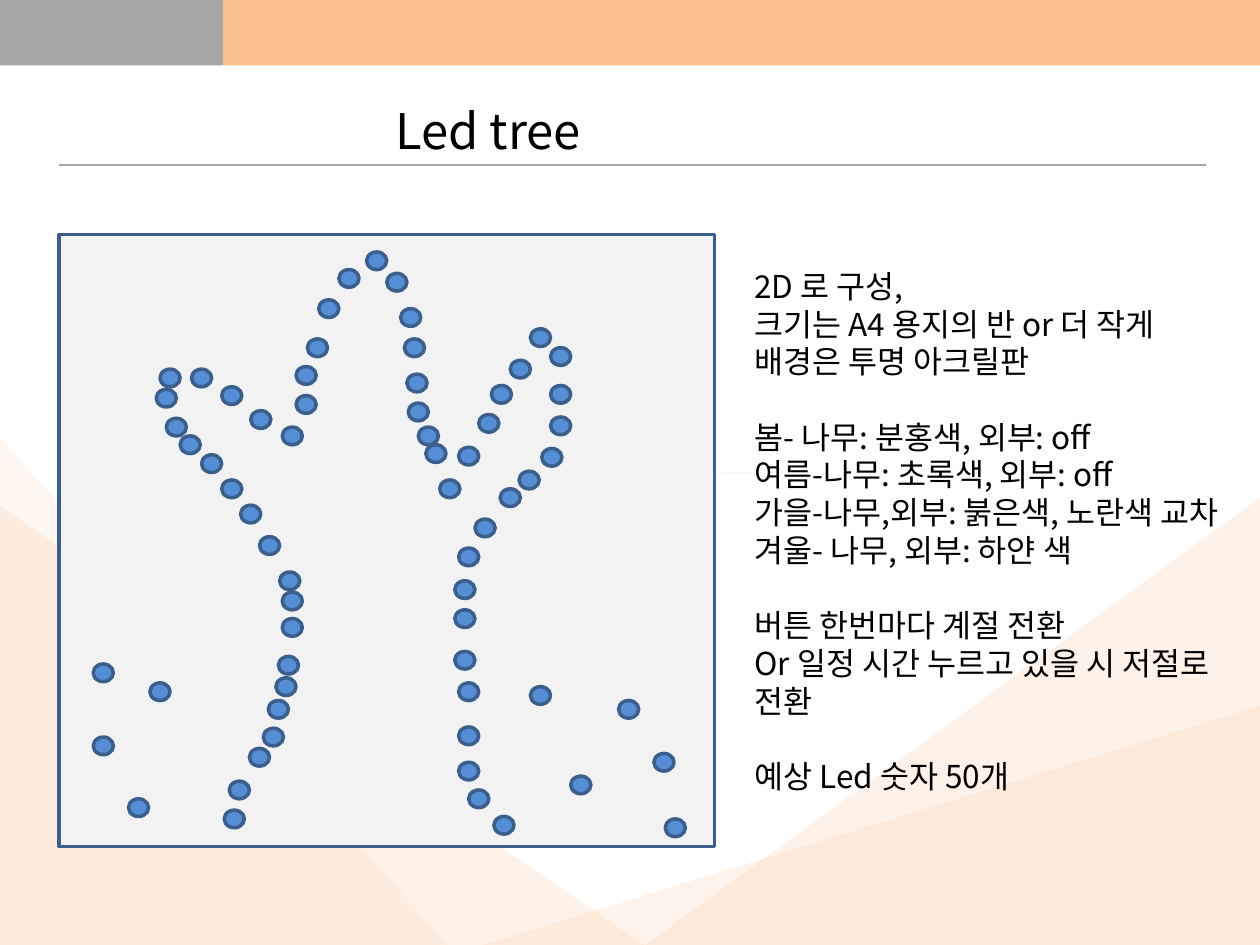
from lxml import etree
from pptx import Presentation
from pptx.dml.color import RGBColor
from pptx.enum.shapes import MSO_CONNECTOR, MSO_SHAPE
from pptx.enum.text import MSO_ANCHOR, PP_ALIGN
from pptx.oxml.ns import qn
from pptx.util import Inches, Pt

RECT, OVAL, TRIANGLE = MSO_SHAPE.RECTANGLE, MSO_SHAPE.OVAL, MSO_SHAPE.RIGHT_TRIANGLE
STRAIGHT = MSO_CONNECTOR.STRAIGHT
MIDDLE, TOP = MSO_ANCHOR.MIDDLE, MSO_ANCHOR.TOP
LEFT, CENTER = PP_ALIGN.LEFT, PP_ALIGN.CENTER

FONT = "Noto Sans CJK KR"
COLORS = {"gray": "A6A6A6", "orange": "FAC090", "peach": "FCD5B5", "ice": "EBF4F9",
          "panel": "F2F2F2", "led": "558ED5", "edge": "3A5F8C", "text": "000000"}
LED_SIZE = (0.16, 0.14)
PITCH = 21.55

# LED positions, measured from the top left of the panel
LEDS = {
    "left trunk": [
        (1.31, 4.57), (1.35, 4.34), (1.51, 4.08), (1.62, 3.92), (1.66, 3.7), (1.72, 3.52),
        (1.74, 3.35), (1.77, 3.05), (1.77, 2.84), (1.75, 2.68), (1.59, 2.4), (1.44, 2.15),
        (1.29, 1.95), (1.13, 1.75), (0.96, 1.6), (0.85, 1.46)],
    "left branch": [
        (0.77, 1.23), (0.8, 1.07), (1.05, 1.07), (1.29, 1.21), (1.52, 1.4), (1.77, 1.53)],
    "crown": [
        (1.88, 1.28), (1.88, 1.05), (1.97, 0.83), (2.06, 0.52), (2.22, 0.28), (2.44, 0.14),
        (2.6, 0.31), (2.71, 0.59), (2.74, 0.83), (2.76, 1.11), (2.77, 1.34), (2.85, 1.53),
        (2.91, 1.67), (3.02, 1.95)],
    "right branch": [
        (3.17, 1.69), (3.33, 1.43), (3.43, 1.2), (3.58, 1), (3.74, 0.75), (3.9, 0.9),
        (3.9, 1.2), (3.9, 1.45), (3.83, 1.7), (3.65, 1.88), (3.5, 2.02)],
    "right trunk": [
        (3.3, 2.26), (3.17, 2.49), (3.14, 2.75), (3.14, 2.98), (3.14, 3.31), (3.17, 3.56),
        (3.17, 3.91), (3.17, 4.19), (3.25, 4.41), (3.45, 4.62)],
    "outside": [
        (0.27, 3.41), (0.72, 3.56), (0.27, 3.99), (0.55, 4.48), (3.74, 3.59),
        (4.44, 3.7), (4.72, 4.12), (4.06, 4.3), (4.81, 4.64)],
}

NOTES = [
    ["2D 로 구성, ", "크기는 A4 용지의 반 or 더 작게", "배경은 투명 아크릴판"],
    ["봄- 나무: 분홍색, 외부: off", "여름-나무: 초록색, 외부: off",
     "가을-나무,외부: 붉은색, 노란색 교차", "겨울- 나무, 외부: 하얀 색"],
    ["버튼 한번마다 계절 전환", "Or 일정 시간 누르고 있을 시 저절로 전환"],
    ["예상 Led 숫자 50개"],
]


def rgb(name):
    """Return the named colour."""
    return RGBColor.from_string(COLORS[name])


def set_alpha(fill, percent):
    """Make a solid fill or line fill partly transparent."""
    color = fill._xPr.find(qn("a:solidFill"))[0]
    etree.SubElement(color, qn("a:alpha")).set("val", str(percent * 1000))


def add_block(s, kind, box, fill, edge=None, alpha=None, flip=False):
    """Add a flat preset shape in the box (left, top, width, height)."""
    sp = s.shapes.add_shape(kind, *map(Inches, box))
    sp.shadow.inherit = False
    sp.fill.solid()
    sp.fill.fore_color.rgb = rgb(fill)
    if alpha:
        set_alpha(sp.fill, alpha)
    if edge:
        sp.line.color.rgb = rgb(edge)
        sp.line.width = Pt(2)
    else:
        sp.line.fill.background()
    if flip:
        sp._element.spPr.find(qn("a:xfrm")).set("flipH", "1")
    return sp


def add_rule(s, left, top, width, color, alpha=None):
    """Add a thin horizontal line."""
    line = s.shapes.add_connector(STRAIGHT, *map(Inches, (left, top, left + width, top)))
    line.line.color.rgb = rgb(color)
    line.line.width = Pt(0.75)
    if alpha:
        set_alpha(line.line.fill, alpha)
    etree.SubElement(line._element.spPr, qn("a:effectLst"))


def add_text(s, box, lines, size, align=LEFT, anchor=TOP):
    """Add a wrapped text box with one paragraph per line."""
    tf = s.shapes.add_textbox(*map(Inches, box)).text_frame
    tf.word_wrap = True
    tf.vertical_anchor = anchor
    tf.text = "\n".join(lines)
    for p in tf.paragraphs:
        p.alignment = align
        for r in p.runs:
            r.font.size = Pt(size)
            r.font.name = FONT
            r.font.color.rgb = rgb("text")
            etree.SubElement(r.font._element, qn("a:ea")).set("typeface", FONT)
    return tf


def add_backdrop(s, width, bottom):
    """Draw the translucent triangles that rise from the bottom edge."""
    add_rule(s, 3.57, 3.75, 2.91, "ice", 46)
    for left, w, h, color, alpha, flip in [
            (3.74, 6.3, 1.94, "orange", 19, True),
            (width - 4.92, 4.92, 3.58, "peach", 30, True),
            (-0.04, 5.2, 3.54, "peach", 30, False),
            (0, 3.58, 4.06, "peach", 20, False)]:
        add_block(s, TRIANGLE, (left, bottom - h, w, h), color, alpha=alpha, flip=flip)


def add_header(s, width):
    """Draw the two-colour band, the title and the rule below it."""
    split, top, height = 1.77, -0.03, 0.55
    add_rule(s, 0.47, 1.31, 9.1, "gray")
    add_block(s, RECT, (0, top, split, height), "gray")
    add_block(s, RECT, (split, top, width - split, height), "orange")
    add_text(s, (0.35, 0.52, 7.05, 1.02), ["Led tree"], 28, CENTER, MIDDLE)


def add_led_tree(s, left, top, width, height):
    """Draw the panel and the LEDs that outline the tree."""
    add_block(s, RECT, (left, top, width, height), "panel", "edge")
    for strand in LEDS.values():
        for x, y in strand:
            add_block(s, OVAL, (left + x, top + y, *LED_SIZE), "led", "edge")


def add_notes_text(s, left, top, width, height):
    """Write the groups of remarks, one line apart."""
    lines = [line for group in NOTES for line in group]
    tf = add_text(s, (left, top, width, height), lines, 18)
    group_ends = {group[-1] for group in NOTES[:-1]}
    for p in tf.paragraphs:
        p.line_spacing = Pt(PITCH)
        if p.text in group_ends:
            p.space_after = Pt(PITCH)


def build():
    """Build the slide and save it."""
    prs = Presentation()
    prs.slide_width, prs.slide_height = Inches(10), Inches(7.5)
    s = prs.slides.add_slide(prs.slide_layouts[6])
    add_backdrop(s, 10, 7.53)
    add_header(s, 10)
    add_led_tree(s, 0.47, 1.86, 5.2, 4.86)
    add_notes_text(s, 5.89, 2.07, 4.2, 4.95)
    prs.save("out.pptx")


build()
